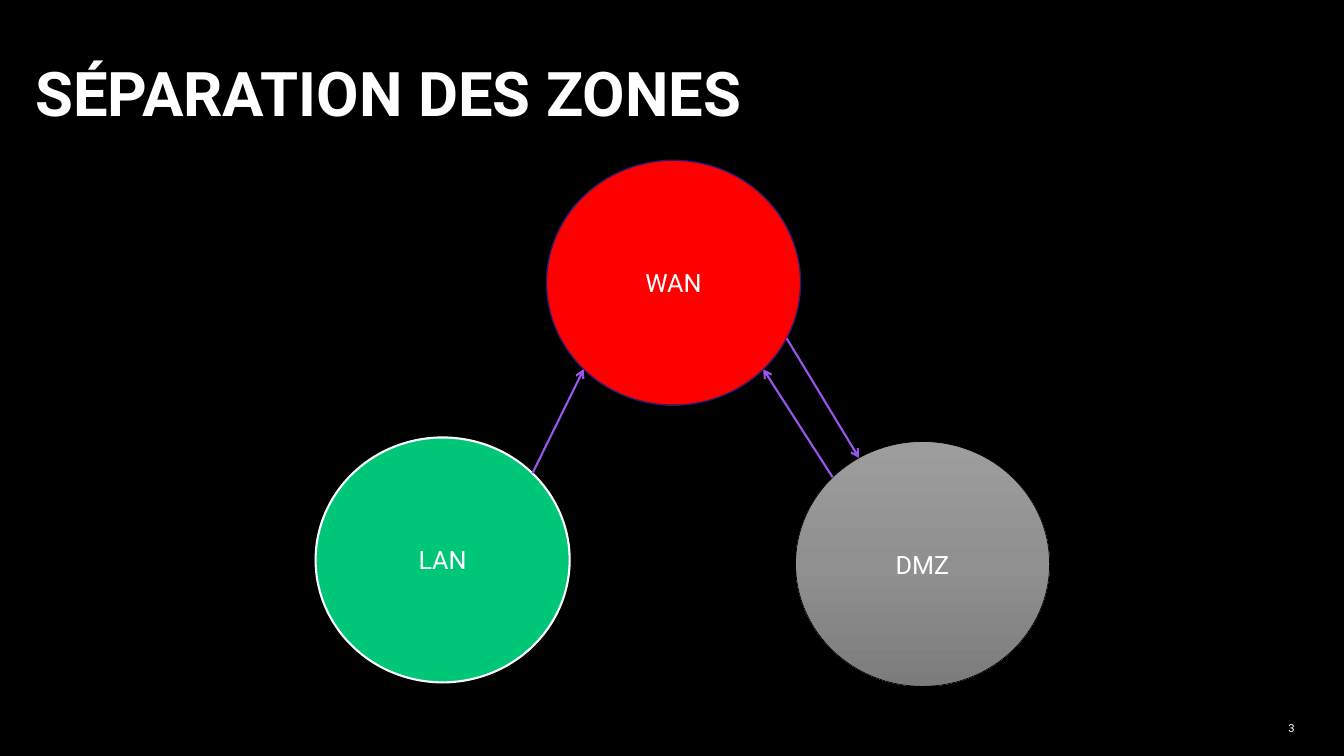
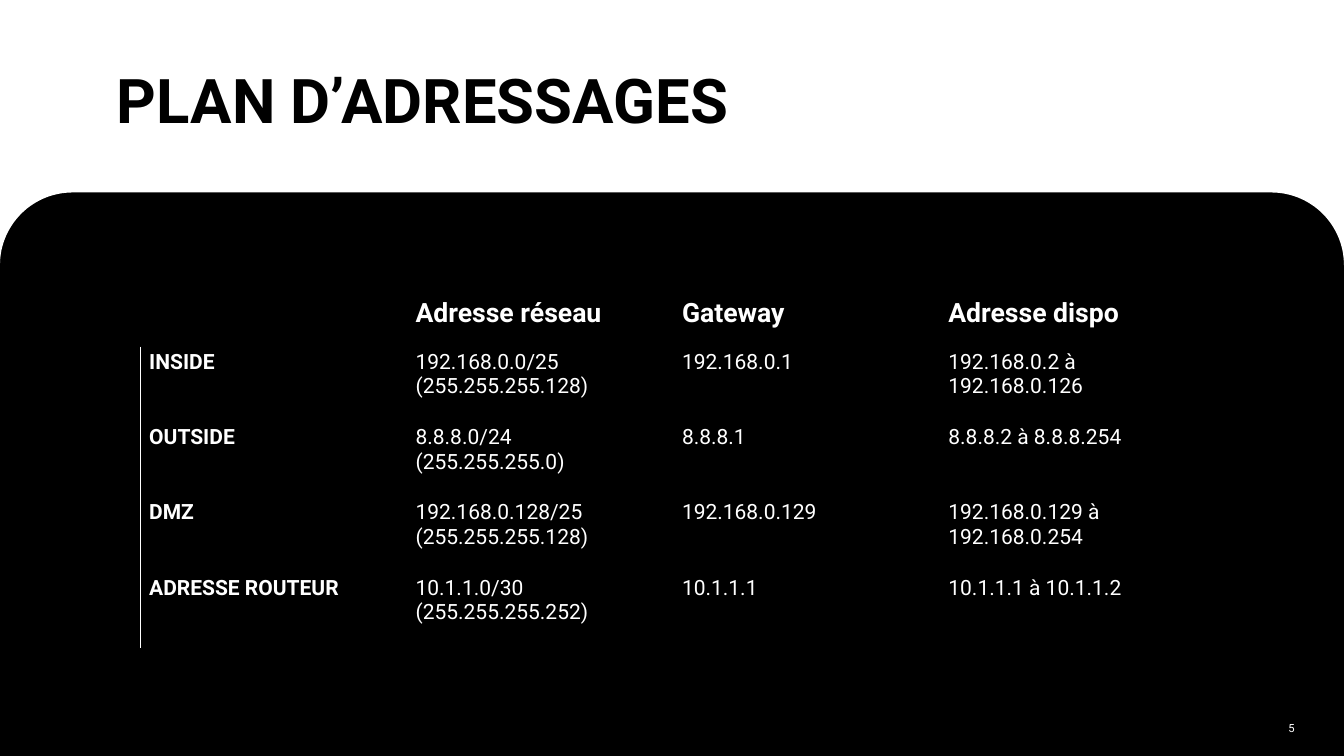
from copy import deepcopy
from dataclasses import dataclass
from math import cos, radians, sin

from lxml import etree
from pptx import Presentation
from pptx.dml.color import RGBColor
from pptx.enum.shapes import MSO_CONNECTOR, MSO_SHAPE
from pptx.enum.text import MSO_ANCHOR, MSO_AUTO_SIZE, PP_ALIGN
from pptx.oxml.ns import qn
from pptx.util import Emu, Pt

LEFT, CENTER, RIGHT = PP_ALIGN.LEFT, PP_ALIGN.CENTER, PP_ALIGN.RIGHT
TOP, MIDDLE, BOTTOM = MSO_ANCHOR.TOP, MSO_ANCHOR.MIDDLE, MSO_ANCHOR.BOTTOM
STRAIGHT = MSO_CONNECTOR.STRAIGHT
ELLIPSE = MSO_SHAPE.OVAL
NO_AUTOFIT = MSO_AUTO_SIZE.NONE

EMU_PER_PX = 9144
SLIDE_WIDTH, SLIDE_HEIGHT = 1333, 750
TITLE_ONLY = 5
NO_TABLE_STYLE = "{2D5ABB26-0587-4C30-8999-92F81FD0307C}"


@dataclass(frozen=True)
class Theme:
    font: str = "Roboto"
    black: str = "000000"
    white: str = "FFFFFF"
    arrow: str = "9956EA"
    lan: str = "00C777"
    wan: str = "FF0000"
    wan_line: str = "281C69"
    dmz: tuple = ("9D9D9D", "909090", "7C7C7C")
    title_size: int = 44
    zone_size: int = 18
    header_size: int = 19
    cell_size: int = 15
    number_size: int = 8


THEME = Theme()

# name, left, top, fill, line colour, line width
ZONE_WIDTH, ZONE_HEIGHT = 252, 243
ZONES = [
    ("LAN", 313, 434, THEME.lan, THEME.white, 1.5),
    ("DMZ", 789, 438, THEME.dmz, THEME.black, 0.5),
    ("WAN", 542, 159, THEME.wan, THEME.wan_line, 1),
]
# source, angle on its rim, target, angle on its rim (clockwise from the right)
FLOWS = [
    ("LAN", 315, "WAN", 135),
    ("DMZ", 225, "WAN", 45),
    ("WAN", 27, "DMZ", 240),
]

ADDRESS_HEADERS = ["", "Adresse réseau", "Gateway", "Adresse dispo"]
ADDRESSES = [
    ["INSIDE", "192.168.0.0/25\n(255.255.255.128)", "192.168.0.1", "192.168.0.2 à 192.168.0.126"],
    ["OUTSIDE", "8.8.8.0/24\n(255.255.255.0)", "8.8.8.1", "8.8.8.2 à 8.8.8.254"],
    ["DMZ", "192.168.0.128/25\n(255.255.255.128)", "192.168.0.129", "192.168.0.129 à 192.168.0.254"],
    ["ADRESSE ROUTEUR", "10.1.1.0/30\n(255.255.255.252)", "10.1.1.1", "10.1.1.1 à 10.1.1.2"],
]


def px(length):
    return Emu(round(length * EMU_PER_PX))


def place(box):
    return [px(length) for length in box]


def rgb(color):
    return RGBColor.from_string(color)


def paint(fill, color):
    fill.solid()
    fill.fore_color.rgb = rgb(color)


def write(frame, text, size, color, align=LEFT, bold=False):
    """Fill the frame with one paragraph for each line of text."""
    frame.word_wrap = True
    for index, line in enumerate(text.split("\n")):
        paragraph = frame.add_paragraph() if index else frame.paragraphs[0]
        paragraph.alignment = align
        run = paragraph.add_run()
        run.text = line
        font = run.font
        font.name, font.size, font.bold = THEME.font, Pt(size), bold
        font.color.rgb = rgb(color)


def add_titled_slide(presentation, title, box, color, anchor, number):
    slide = presentation.slides.add_slide(presentation.slide_layouts[TITLE_ONLY])
    paint(slide.background.fill, THEME.black)
    shape = slide.shapes.title
    shape.left, shape.top, shape.width, shape.height = place(box)
    frame = shape.text_frame
    frame.auto_size = NO_AUTOFIT
    frame.vertical_anchor = anchor
    write(frame, title, THEME.title_size, color, bold=True)
    frame.paragraphs[0].line_spacing = 0.9
    add_number(slide, number, (1247, 702, 47, 40))
    return slide


def add_number(slide, number, box):
    frame = slide.shapes.add_textbox(*place(box)).text_frame
    frame.vertical_anchor = MIDDLE
    write(frame, number, THEME.number_size, THEME.white, RIGHT)


def rim_point(box, angle):
    """Point on the ellipse in the box, clockwise from the right."""
    left, top, width, height = box
    return (left + width / 2 * (1 + cos(radians(angle))),
            top + height / 2 * (1 + sin(radians(angle))))


def add_title_band(slide, box, radius):
    """White band behind the title, its lower edge hollowed by two round corners."""
    left, top, width, height = box
    right, arc_top, size = left + width, top + height - radius, 2 * radius
    right_circle = (right - size, arc_top, size, size)
    left_circle = (left, arc_top, size, size)
    points = [(right, top)]
    points += [rim_point(right_circle, angle) for angle in range(360, 269, -3)]
    points += [rim_point(left_circle, angle) for angle in range(270, 179, -3)]
    builder = slide.shapes.build_freeform(px(left), px(top))
    builder.add_line_segments([place(point) for point in points], close=True)
    band = builder.convert_to_shape()
    band.shadow.inherit = False
    paint(band.fill, THEME.white)
    band.line.fill.background()
    slide.shapes.title._element.addprevious(band._element)


def paint_gradient(shape, colors):
    """Blend the colours evenly from top to bottom."""
    fill = shape.fill
    fill.gradient()
    fill.gradient_angle = 270
    stop_list = shape._element.spPr.find(qn("a:gradFill")).find(qn("a:gsLst"))
    while len(stop_list) < len(colors):
        stop_list.append(deepcopy(stop_list[0]))
    for index, (stop, color) in enumerate(zip(fill.gradient_stops, colors)):
        stop.color.rgb = rgb(color)
        stop.position = index / (len(colors) - 1)


def add_zone(slide, name, box, fill, line_color, line_width):
    zone = slide.shapes.add_shape(ELLIPSE, *place(box))
    zone.shadow.inherit = False
    if isinstance(fill, tuple):
        paint_gradient(zone, fill)
    else:
        paint(zone.fill, fill)
    zone.line.color.rgb = rgb(line_color)
    zone.line.width = Pt(line_width)
    zone.text_frame.vertical_anchor = MIDDLE
    write(zone.text_frame, name, THEME.zone_size, THEME.white, CENTER)


def add_arrow(slide, start, end):
    arrow = slide.shapes.add_connector(STRAIGHT, *place(start), *place(end))
    arrow.line.color.rgb = rgb(THEME.arrow)
    arrow.line.width = Pt(1.5)
    properties = arrow._element.spPr
    etree.SubElement(properties.find(qn("a:ln")), qn("a:tailEnd"), type="arrow")
    etree.SubElement(properties, qn("a:effectLst"))


def add_left_border(cell):
    border = etree.Element(qn("a:lnL"), w=str(Pt(0.75)))
    solid = etree.SubElement(border, qn("a:solidFill"))
    etree.SubElement(solid, qn("a:srgbClr"), val=THEME.white)
    cell._tc.get_or_add_tcPr().insert(0, border)


def fill_cell(cell, text, is_header, is_label):
    paint(cell.fill, THEME.black)
    cell.margin_left, cell.margin_top, cell.margin_right, cell.margin_bottom = place((9, 3, 12, 18))
    cell.vertical_anchor = BOTTOM if is_header else TOP
    if text:
        size = THEME.header_size if is_header else THEME.cell_size
        write(cell.text_frame, text, size, THEME.white, bold=is_header or is_label)
    if is_label and not is_header:
        add_left_border(cell)


def add_address_table(slide, box, header_height):
    rows = [ADDRESS_HEADERS] + ADDRESSES
    table = slide.shapes.add_table(len(rows), len(ADDRESS_HEADERS), *place(box)).table
    table.first_row = table.horz_banding = False
    table._tbl.tblPr.find(qn("a:tableStyleId")).text = NO_TABLE_STYLE
    for column in table.columns:
        column.width = px(box[2] / len(ADDRESS_HEADERS))
    row_height = (box[3] - header_height) / len(ADDRESSES)
    for row_index, texts in enumerate(rows):
        table.rows[row_index].height = px(row_height if row_index else header_height)
        for column_index, text in enumerate(texts):
            fill_cell(table.cell(row_index, column_index), text, row_index == 0, column_index == 0)


def build_zones_slide(presentation):
    slide = add_titled_slide(presentation, "SÉPARATION DES ZONES", (25, 28, 1089, 106),
                             THEME.white, BOTTOM, "3")
    boxes = {}
    for name, left, top, *style in ZONES:
        boxes[name] = (left, top, ZONE_WIDTH, ZONE_HEIGHT)
        add_zone(slide, name, boxes[name], *style)
    for source, source_angle, target, target_angle in FLOWS:
        add_arrow(slide, rim_point(boxes[source], source_angle),
                  rim_point(boxes[target], target_angle))


def build_addresses_slide(presentation):
    slide = add_titled_slide(presentation, "PLAN D’ADRESSAGES", (106, 29, 1090, 147),
                             THEME.black, MIDDLE, "5")
    add_title_band(slide, (0, 0, SLIDE_WIDTH, 263), radius=72)
    add_address_table(slide, (139, 288, 1057, 355), header_height=56)


def main():
    presentation = Presentation()
    presentation.slide_width, presentation.slide_height = place((SLIDE_WIDTH, SLIDE_HEIGHT))
    build_zones_slide(presentation)
    build_addresses_slide(presentation)
    presentation.save("out.pptx")


if __name__ == "__main__":
    main()
